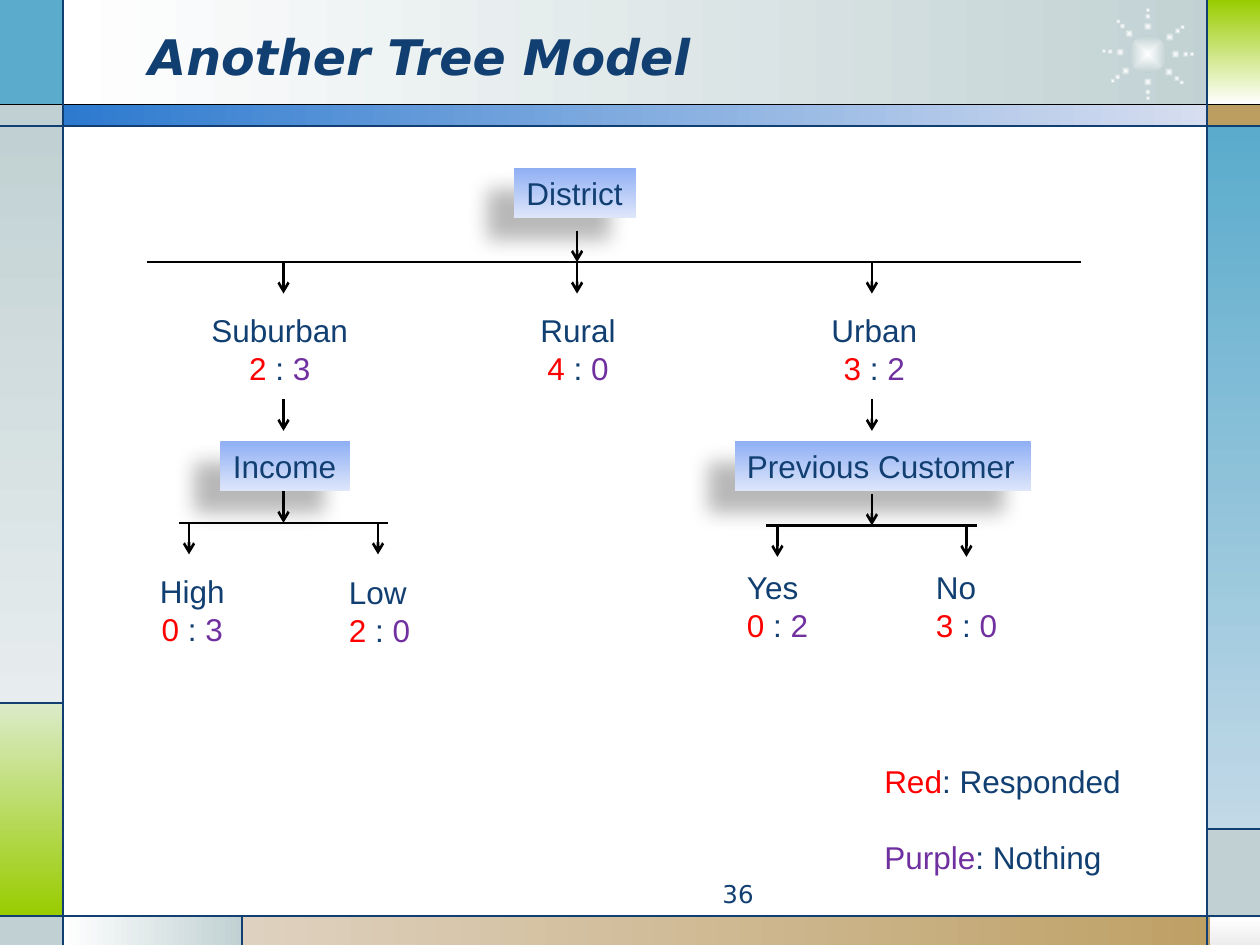
from math import cos, sin, radians
from pptx import Presentation
from pptx.util import Inches, Pt
from pptx.dml.color import RGBColor as RGB
from pptx.enum.shapes import MSO_SHAPE as Kind, MSO_CONNECTOR as Link
from pptx.enum.text import MSO_ANCHOR as Anchor, MSO_AUTO_SIZE as Auto, PP_ALIGN as Align
from pptx.oxml import parse_xml
from pptx.oxml.ns import qn, nsdecls

HUES = {
    "navy": "113F71", "black": "000000", "white": "FFFFFF",
    "red": "FF0000", "purple": "7030A0", "sky": "5AABCC",
    "haze": "C2D9E7", "gray": "C1D1D3", "mist": "E7EDEE",
    "pale": "DBEBC9", "lime": "99CC00", "sand": "DED1BF",
    "tan": "BD9E61", "ash": "EDEDED", "blue": "2D7ACF",
    "ice": "D7DEF0", "top": "8FAFF4", "low": "DEE6FA",
}
BODY = {"name": "Arial", "size": Pt(18)}
HEAD = {"name": "DejaVu Sans", "size": Pt(28), "bold": True, "italic": True}
FOOT = {"name": "DejaVu Sans", "size": Pt(14)}
FIT = {"word_wrap": False, "auto_size": Auto.SHAPE_TO_FIT_TEXT}
WRAP = {"word_wrap": True}

PANELS = [
    (0.5, 0, 9.27, 0.84, ("white", "gray"), 0),
    (0, 0, 0.5, 0.84, ("sky",), 0),
    (0, 0.83, 0.5, 0.17, ("gray",), 0),
    (0, 1, 0.5, 4.58, ("gray", "mist"), 90),
    (0, 5.58, 0.5, 1.69, ("pale", "lime"), 90),
    (0, 7.27, 0.5, 0.23, ("gray",), 0),
    (0.5, 7.27, 1.42, 0.23, ("white", "gray"), 0),
    (1.92, 7.27, 8.08, 0.23, ("sand", "tan"), 0),
    (9.6, 7.27, 0.4, 0.23, ("white", "ash"), 90),
    (9.58, 6.58, 0.42, 0.7, ("gray",), 0),
    (9.58, 1, 0.42, 5.58, ("sky", "haze"), 90),
    (9.58, 0.83, 0.42, 0.17, ("tan",), 0),
    (9.58, 0, 0.42, 0.83, ("lime", "white"), 90),
    (0.5, 0.83, 9.09, 0.17, ("blue", "ice"), 0),
]
RULES = [
    (0, 0.83, 10, 0.83, "black"), (0, 1, 10, 1, "navy"),
    (0, 7.27, 10, 7.27, "navy"), (0.5, 0, 0.5, 7.5, "navy"),
    (9.58, 0, 9.58, 7.5, "navy"), (0, 5.58, 0.5, 5.58, "navy"),
    (1.92, 7.27, 1.92, 7.5, "navy"), (9.58, 6.58, 10, 6.58, "navy"),
]
SUN = (9.11, 0.43)
RAYS = [0, 40, 90, 143, 184, 228, 270, 322]
DOTS = [(0.22, 0.07), (0.3, 0.05), (0.35, 0.04)]

TESTS = [
    ("District", 4.08, 1.33, 0.97),
    ("Income", 1.75, 3.5, 1.03),
    ("Previous Customer", 5.83, 3.5, 2.35),
]
LEAVES = [
    ("Suburban", 2, 3, 1.58, 2.42, 1.3),
    ("Rural", 4, 0, 4.19, 2.42, 0.81),
    ("Urban", 3, 2, 6.5, 2.42, 0.89),
    ("High", 0, 3, 1.17, 4.49, 0.72),
    ("Low", 2, 0, 2.67, 4.5, 0.69),
    ("Yes", 0, 2, 5.83, 4.46, 0.69),
    ("No", 3, 0, 7.33, 4.46, 0.69),
]
BARS = [(1.17, 8.58, 2.08), (1.42, 3.08, 4.15), (6.08, 7.75, 4.17)]
DROPS = [
    (1.83, [4.58]), (2.08, [2.25, 4.58, 6.92]), (3.17, [2.25, 6.92]),
    (3.9, [2.25]), (3.92, [6.92]), (4.15, [1.5, 3]), (4.17, [6.17, 7.67]),
]
STEP = 0.25

deck = Presentation()
deck.slide_width, deck.slide_height = Inches(10), Inches(7.5)
slide = deck.slides.add_slide(deck.slide_layouts[6])
shapes = slide.shapes


def hue(name):
    return RGB.from_string(HUES[name])


def style(item, form):
    for key, val in form.items():
        setattr(item, key, val)


def block(kind, x, y, w, h, tones, ang=0):
    shape = shapes.add_shape(kind, *map(Inches, (x, y, w, h)))
    shape.shadow.inherit = False
    shape.line.fill.background()
    fill = shape.fill
    if len(tones) == 1:
        fill.solid()
        fill.fore_color.rgb = hue(tones[0])
        return shape
    fill.gradient()
    fill.gradient_angle = (360 - ang) % 360
    for stop, tone in zip(fill.gradient_stops, tones):
        stop.color.rgb = hue(tone)
    return shape


def glow(x, y, size):
    dot = block(Kind.OVAL, x - size / 2, y - size / 2, size, size, ("white", "gray"))
    grad = dot.element.spPr.find(qn("a:gradFill"))
    grad.replace(grad.find(qn("a:lin")), parse_xml(
        f'<a:path {nsdecls("a")} path="shape">'
        '<a:fillToRect l="50000" t="50000" r="50000" b="50000"/></a:path>'))


def line(x1, y1, x2, y2, tone="black", width=1.5, arrow=False):
    link = shapes.add_connector(Link.STRAIGHT, *map(Inches, (x1, y1, x2, y2)))
    link.line.color.rgb = hue(tone)
    link.line.width = Pt(width)
    if arrow:
        link.line._get_or_add_ln().append(
            parse_xml(f'<a:tailEnd {nsdecls("a")} type="arrow"/>'))
    link.element.spPr.append(parse_xml(f'<a:effectLst {nsdecls("a")}/>'))


def write(shape, rows, font=BODY, frame=FIT):
    text = shape.text_frame
    style(text, frame)
    for i, (runs, form) in enumerate(rows):
        para = text.add_paragraph() if i else text.paragraphs[0]
        style(para, form)
        for word, tone in runs:
            run = para.add_run()
            run.text = word
            style(run.font, font)
            run.font.color.rgb = hue(tone)


def box(x, y, w, h, rows, **kind):
    write(shapes.add_textbox(*map(Inches, (x, y, w, h))), rows, **kind)


for panel in PANELS:
    block(Kind.RECTANGLE, *panel)
glow(*SUN, 0.3)
for ray in map(radians, RAYS):
    for dist, size in DOTS:
        glow(SUN[0] + dist * cos(ray), SUN[1] + dist * sin(ray), size)
for rule in RULES:
    line(*rule, width=0.75)

box(1.08, 0.13, 7.33, 0.62, [([("Another Tree Model", "navy")], {})],
    font=HEAD, frame={**WRAP, "vertical_anchor": Anchor.MIDDLE})
box(3.75, 6.93, 2.33, 0.27, [([("36", "navy")], {"alignment": Align.RIGHT})],
    font=FOOT, frame=WRAP)

for name, x, y, w in TESTS:
    node = block(Kind.RECTANGLE, x, y, w, 0.4, ("top", "low"), 90)
    node.element.spPr.find(qn("a:effectLst")).append(parse_xml(
        f'<a:outerShdw {nsdecls("a")} blurRad="{Pt(11.8)}" dist="{Pt(19.7)}" '
        f'dir="{141 * 60000}" rotWithShape="0"><a:srgbClr val="{HUES["black"]}">'
        '<a:alpha val="28000"/></a:srgbClr></a:outerShdw>'))
    write(node, [([(name, "navy")], {"alignment": Align.LEFT})])

for name, yes, no, x, y, w in LEAVES:
    odds = [(str(yes), "red"), (" : ", "navy"), (str(no), "purple")]
    box(x, y, w, 0.71, [([(name, "navy")], {}), (odds, {"alignment": Align.CENTER})])

for left, right, y in BARS:
    line(left, y, right, y)
for y, row in DROPS:
    for x in row:
        line(x, y, x, y + STEP, arrow=True)

box(6.92, 6, 2.24, 1.01, [
    ([("Red", "red"), (": Responded", "navy")], {}),
    ([("Purple", "purple"), (": Nothing", "navy")], {"space_before": Pt(22)}),
], frame={**FIT, **WRAP})

deck.save("out.pptx")
